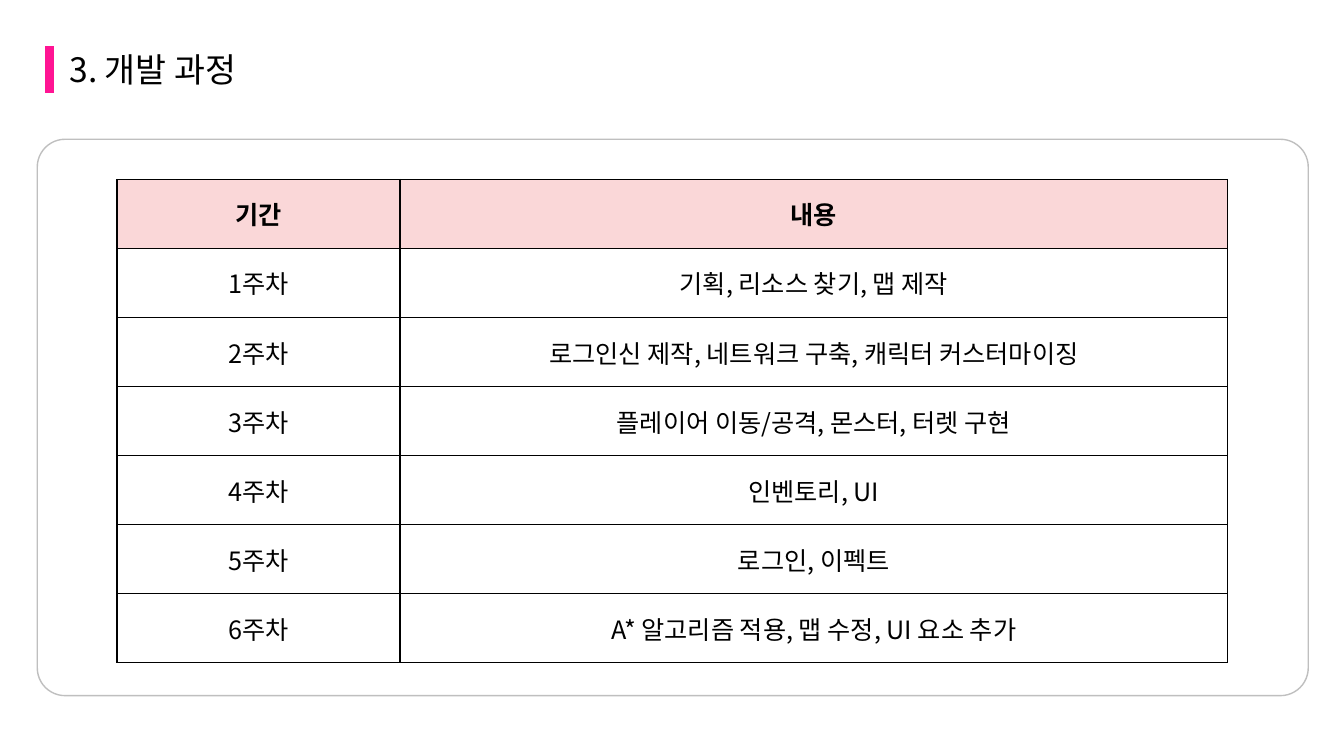
"""Build the slide with the weekly development schedule."""
from dataclasses import dataclass

from lxml.etree import SubElement
from pptx import Presentation
from pptx.dml.color import RGBColor
from pptx.enum.shapes import MSO_CONNECTOR, MSO_SHAPE
from pptx.enum.text import MSO_ANCHOR, PP_ALIGN
from pptx.oxml.ns import qn
from pptx.util import Cm, Pt


@dataclass(frozen=True)
class Theme:
    font: str = "Noto Sans CJK KR"
    ink: str = "000000"
    header: str = "FAD7D8"
    frame: str = "BFBFBF"
    accent: str = "FF1493"
    title_size: int = 24
    table_size: int = 18


theme = Theme()


def add_run(para, text, size, bold=False):
    span = para.add_run()
    span.text = text
    span.font.size = Pt(size)
    span.font.bold = bold
    span.font.color.rgb = RGBColor.from_string(theme.ink)
    span.font.name = theme.font
    SubElement(span.font._element, qn("a:ea"), typeface=theme.font)


def add_borders(cell):
    properties = cell._tc.get_or_add_tcPr()
    for side in ("lnL", "lnR", "lnT", "lnB"):
        border = SubElement(properties, qn(f"a:{side}"), w=str(Pt(1)))
        fill = SubElement(border, qn("a:solidFill"))
        SubElement(fill, qn("a:srgbClr"), val=theme.ink)


deck = Presentation()
deck.slide_width, deck.slide_height = Cm(33.87), Cm(19.05)
page = deck.slides.add_slide(deck.slide_layouts[6])

schedule = [
    ("기간", "내용"),
    ("1주차", "기획, 리소스 찾기, 맵 제작"),
    ("2주차", "로그인신 제작, 네트워크 구축, 캐릭터 커스터마이징"),
    ("3주차", "플레이어 이동/공격, 몬스터, 터렛 구현"),
    ("4주차", "인벤토리, UI"),
    ("5주차", "로그인, 이펙트"),
    ("6주차", "A* 알고리즘 적용, 맵 수정, UI 요소 추가"),
]
column_widths = (7.13, 20.86)
row_height = 1.74
table = page.shapes.add_table(
    len(schedule), len(column_widths), Cm(2.95), Cm(4.52),
    Cm(sum(column_widths)), Cm(row_height * len(schedule)),
).table
for column, width in zip(table.columns, column_widths):
    column.width = Cm(width)
for row_index, texts in enumerate(schedule):
    is_header = row_index == 0
    table.rows[row_index].height = Cm(row_height)
    for column_index, text in enumerate(texts):
        cell = table.cell(row_index, column_index)
        cell.vertical_anchor = MSO_ANCHOR.MIDDLE
        add_borders(cell)
        if is_header:
            cell.fill.solid()
            cell.fill.fore_color.rgb = RGBColor.from_string(theme.header)
        else:
            cell.fill.background()
        para = cell.text_frame.paragraphs[0]
        para.alignment = PP_ALIGN.CENTER
        add_run(para, text, theme.table_size, is_header)

frame = page.shapes.add_shape(
    MSO_SHAPE.ROUNDED_RECTANGLE, Cm(0.94), Cm(3.51), Cm(32.03), Cm(14.02)
)
frame.adjustments[0] = 0.05
frame.shadow.inherit = False
frame.fill.background()
frame.line.color.rgb = RGBColor.from_string(theme.frame)
frame.line.width = Pt(1)

title_box = page.shapes.add_textbox(Cm(1.5), Cm(1.12), Cm(4.72), Cm(1.27))
title_box.text_frame.word_wrap = True
add_run(title_box.text_frame.paragraphs[0], "3. 개발 과정", theme.title_size)

accent_bar = page.shapes.add_connector(
    MSO_CONNECTOR.STRAIGHT, Cm(1.25), Cm(1.17), Cm(1.25), Cm(2.34)
)
accent_bar.line.color.rgb = RGBColor.from_string(theme.accent)
accent_bar.line.width = Pt(6)
SubElement(accent_bar._element.spPr, qn("a:effectLst"))

deck.save("out.pptx")
